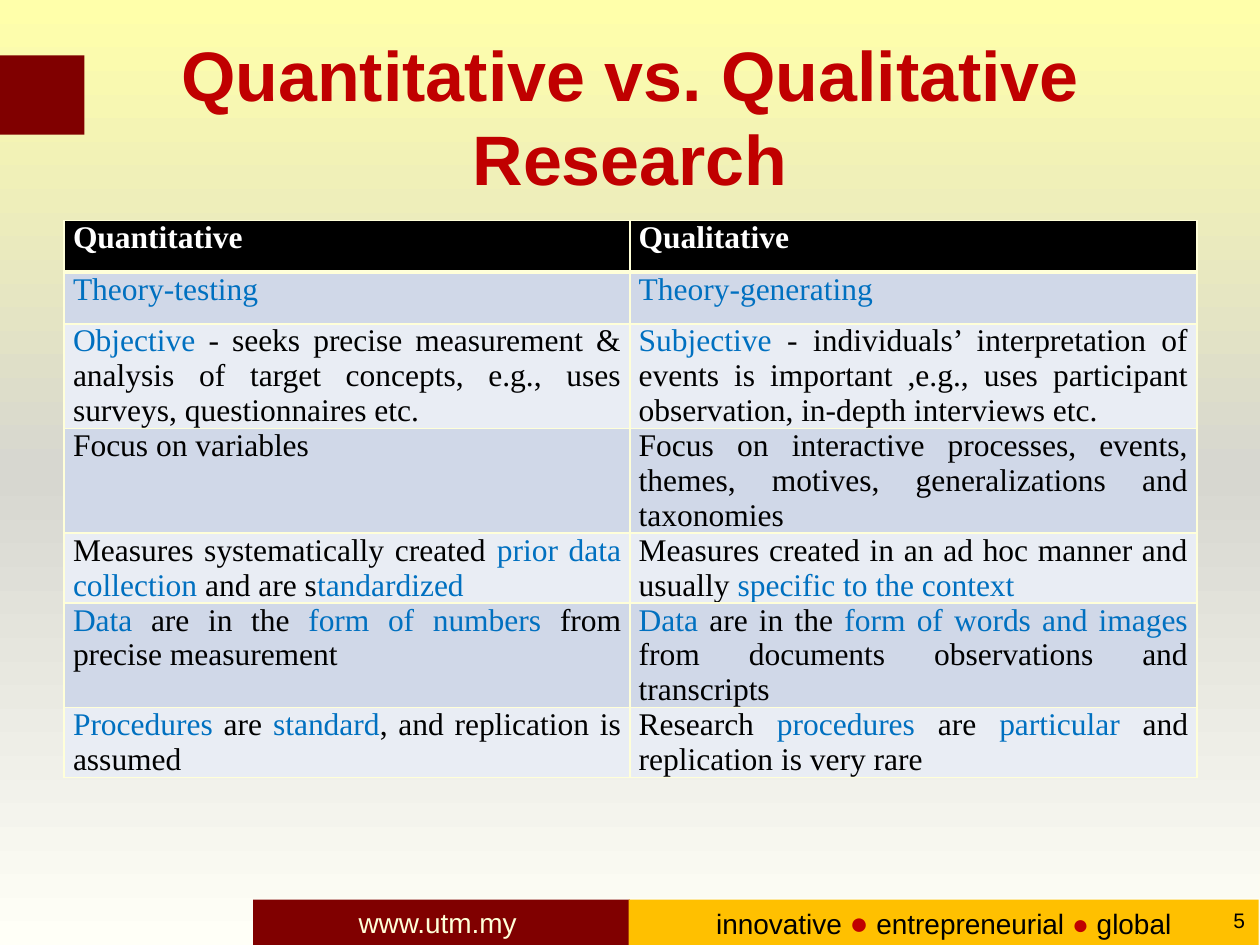
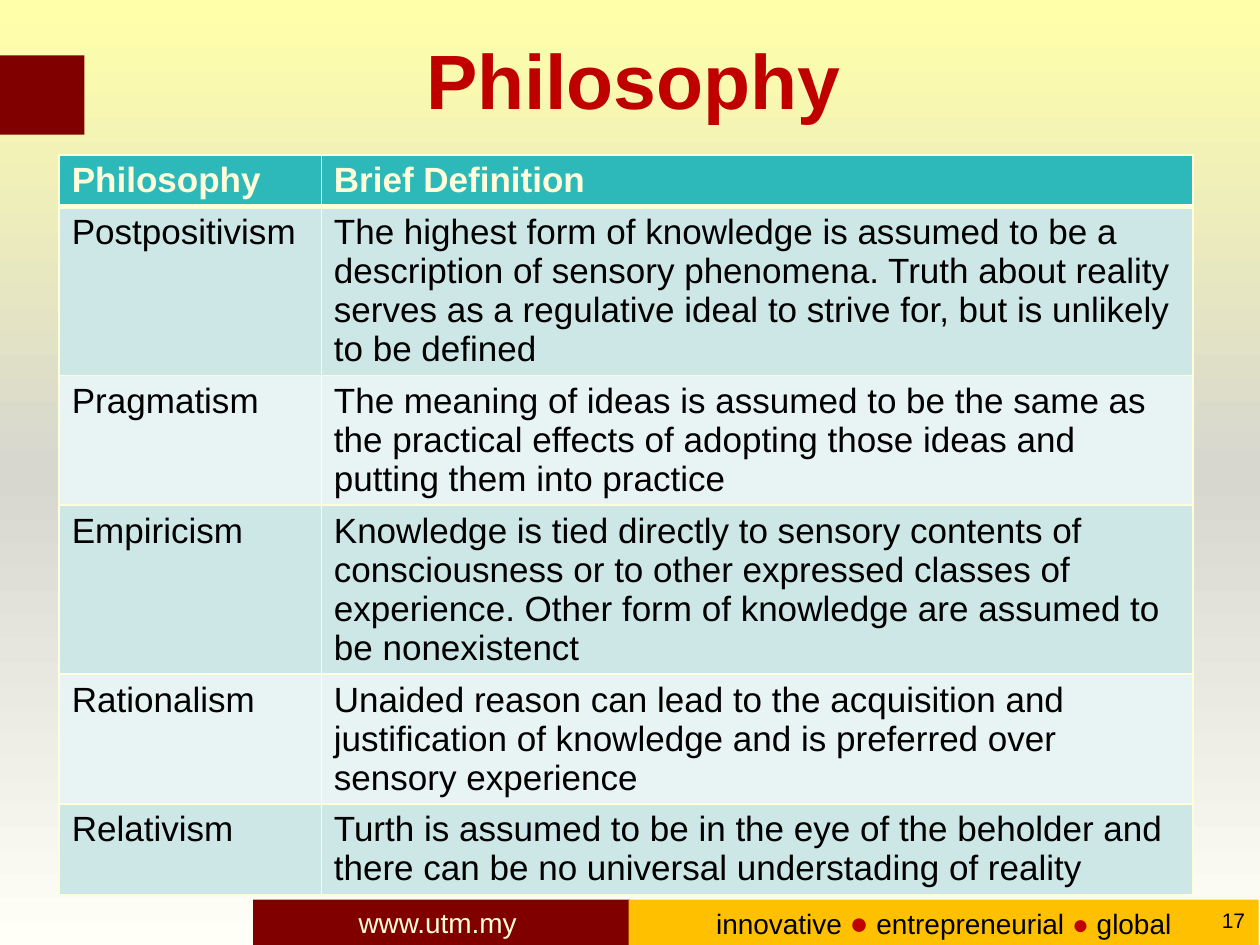
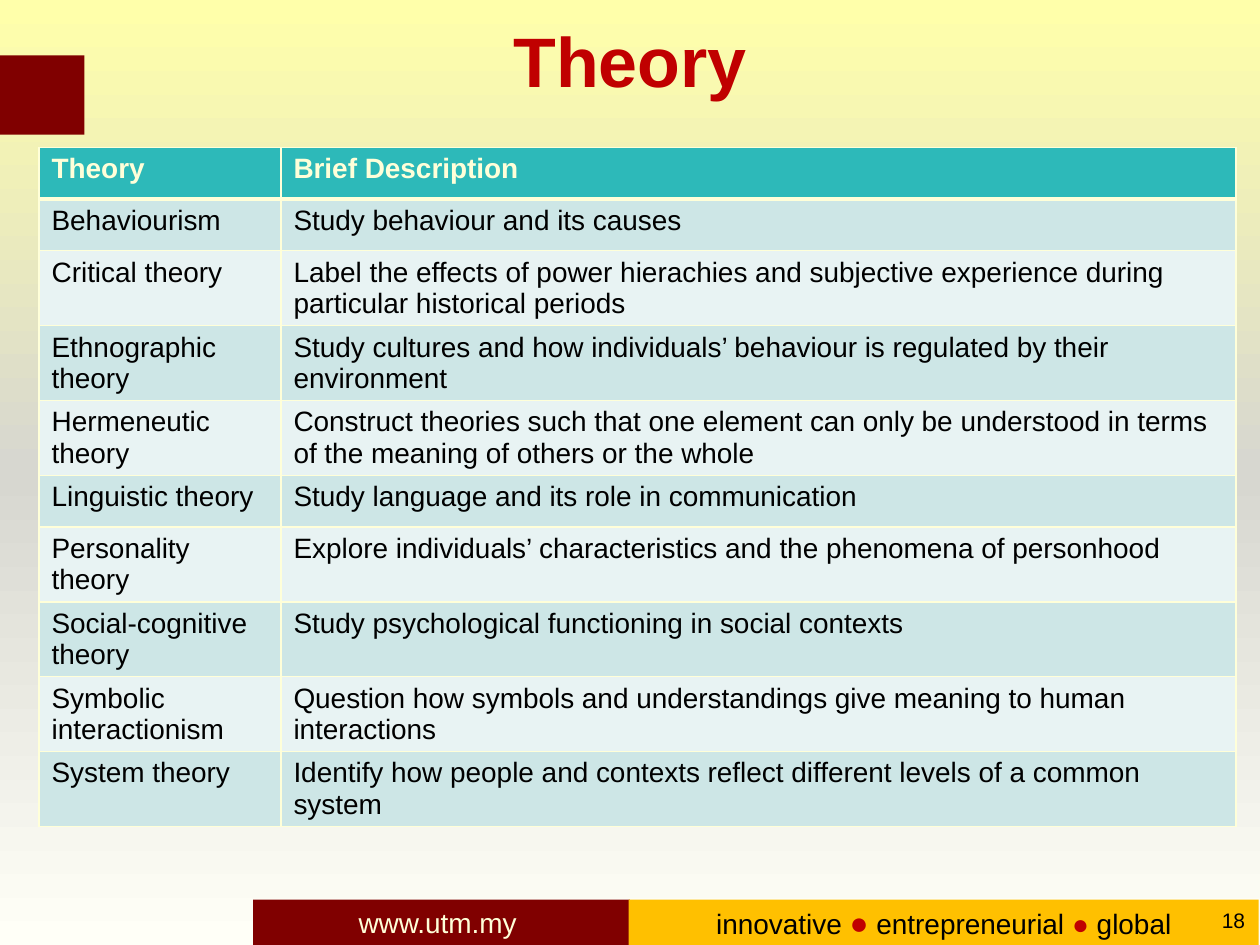
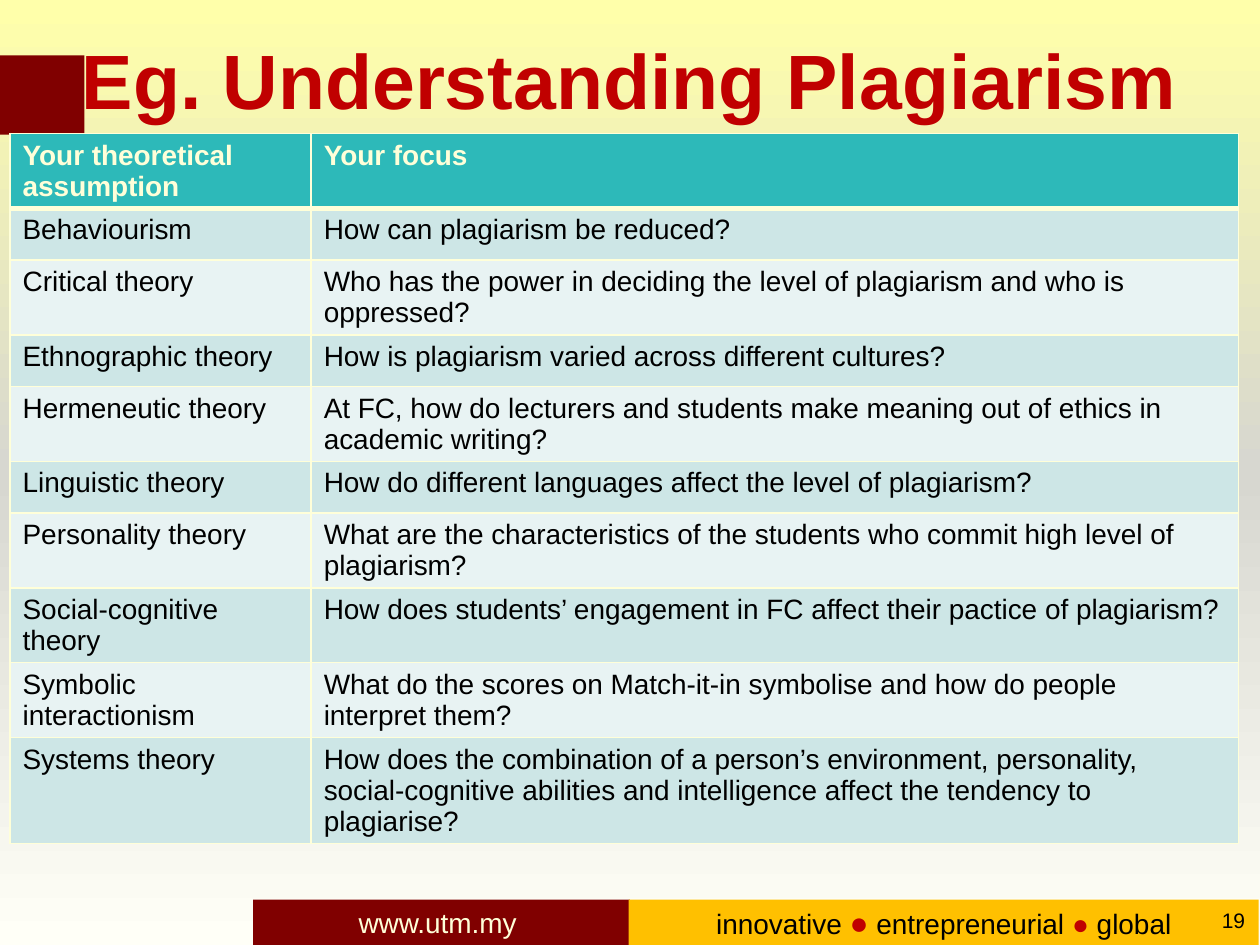
from lxml.etree import SubElement
from copy import deepcopy
from pptx import Presentation
from pptx.dml.color import RGBColor
from pptx.enum.shapes import MSO_SHAPE
from pptx.enum.text import MSO_ANCHOR, PP_ALIGN
from pptx.oxml.ns import qn
from pptx.util import Inches, Pt

# Shared look
MAROON = RGBColor(0x80, 0x00, 0x00)
AMBER = RGBColor(0xFF, 0xC0, 0x00)
RED = RGBColor(0xC0, 0x00, 0x00)
CREAM = RGBColor(0xFF, 0xFF, 0xD9)
BLACK = RGBColor(0x00, 0x00, 0x00)
WHITE = RGBColor(0xFF, 0xFF, 0xFF)
BLUE = RGBColor(0x00, 0x70, 0xC0)
TEAL = RGBColor(0x2D, 0xB9, 0xB9)
TEAL_BANDS = (RGBColor(0xCD, 0xE6, 0xE6), RGBColor(0xE8, 0xF3, 0xF3))
BLUE_BANDS = (RGBColor(0xD0, 0xD8, 0xE8), RGBColor(0xE9, 0xED, 0xF4))
BACKDROP = (
    (0, RGBColor(0xFF, 0xFF, 0xAA)),
    (0.5, RGBColor(0xD7, 0xD7, 0xD0)),
    (1, RGBColor(0xFF, 0xFF, 0xF7)),
)
ROW_HEIGHT = 0.41

# Table styles
TEAL_STYLE = {
    "font": "Arial", "header_fill": TEAL, "header_text": CREAM,
    "bands": TEAL_BANDS, "align": PP_ALIGN.LEFT, "insets": (0.1, 0.05),
}
BLUE_STYLE = {
    "font": "Times New Roman", "header_fill": BLACK, "header_text": WHITE,
    "bands": BLUE_BANDS, "align": PP_ALIGN.JUSTIFY, "insets": (0.07, 0),
}

# Slide contents; words between asterisks are highlighted in blue
SLIDES = [
    {
        "number": 5, "title": "Quantitative vs. Qualitative Research",
        "title_size": 40, "title_at": (0.75, 0.29, 8.5, 1.25),
        "table_at": (0.51, 1.75), "columns": (4.49, 4.5),
        "style": BLUE_STYLE, "text_size": 18,
        "rows": [
            ("Quantitative", "Qualitative"),
            ("*Theory-testing*", "*Theory-generating*"),
            ("*Objective* - seeks precise measurement & analysis of target "
             "concepts, e.g., uses surveys, questionnaires etc.",
             "*Subjective *- individuals’ interpretation of events is important "
             ",e.g., uses participant observation, in-depth interviews etc."),
            ("Focus on variables",
             "Focus on interactive processes, events, themes, motives, "
             "generalizations and taxonomies"),
            ("Measures systematically created *prior data collection* and are "
             "s*tandardized*",
             "Measures created in an ad hoc manner and usually "
             "*specific to the context*"),
            ("*Data* are in the *form of numbers *from precise measurement",
             "*Data* are in the *form of words and images *from documents "
             "observations and transcripts"),
            ("*Procedures* are *standard*, and replication is assumed",
             "Research *procedures* are *particular* and replication is very rare"),
        ],
    },
    {
        "number": 17, "title": "Philosophy",
        "title_size": 44, "title_at": (0.78, 0, 8.5, 1.25),
        "table_at": (0.47, 1.23), "columns": (2.08, 6.92),
        "style": TEAL_STYLE, "text_size": 20,
        "rows": [
            ("Philosophy", "Brief Definition"),
            ("Postpositivism",
             "The highest form of knowledge is assumed to be a description of "
             "sensory phenomena. Truth about reality serves as a regulative "
             "ideal to strive for, but is unlikely to be defined"),
            ("Pragmatism",
             "The meaning of ideas is assumed to be the same as the practical "
             "effects of adopting those ideas and putting them into practice"),
            ("Empiricism",
             "Knowledge is tied directly to sensory contents of consciousness "
             "or to other expressed classes of experience. Other form of "
             "knowledge are assumed to be nonexistenct"),
            ("Rationalism",
             "Unaided reason can lead to the acquisition and justification of "
             "knowledge and is preferred over sensory experience"),
            ("Relativism",
             "Turth is assumed to be in the eye of the beholder and there can "
             "be no universal understading of reality"),
        ],
    },
    {
        "number": 18, "title": "Theory",
        "title_size": 40, "title_at": (0.5, 0, 9, 0.94),
        "table_at": (0.31, 1.17), "columns": (1.92, 7.58),
        "style": TEAL_STYLE, "text_size": 16,
        "rows": [
            ("Theory", "Brief Description"),
            ("Behaviourism", "Study behaviour and its causes"),
            ("Critical theory",
             "Label the effects of power hierachies and subjective experience "
             "during particular historical periods"),
            ("Ethnographic theory",
             "Study cultures and how individuals’ behaviour is regulated by "
             "their environment"),
            ("Hermeneutic theory",
             "Construct theories such that one element can only be understood "
             "in terms of the meaning of others or the whole"),
            ("Linguistic theory", "Study language and its role in communication"),
            ("Personality theory",
             "Explore individuals’ characteristics and the phenomena of personhood"),
            ("Social-cognitive theory",
             "Study psychological functioning in social contexts"),
            ("Symbolic interactionism",
             "Question how symbols and understandings give meaning to human "
             "interactions"),
            ("System theory",
             "Identify how people and contexts reflect different levels of a "
             "common system"),
        ],
    },
    {
        "number": 19, "title": "Eg. Understanding Plagiarism",
        "title_size": 44, "title_at": (0.5, 0, 9, 1.25),
        "table_at": (0.08, 1.06), "columns": (2.39, 7.36),
        "style": TEAL_STYLE, "text_size": 16,
        "rows": [
            ("Your theoretical assumption", "Your focus"),
            ("Behaviourism", "How can plagiarism be reduced?"),
            ("Critical theory",
             "Who has the power in deciding the level of plagiarism and who is "
             "oppressed?"),
            ("Ethnographic theory",
             "How is plagiarism varied across different cultures?"),
            ("Hermeneutic theory",
             "At FC, how do lecturers and students make meaning out of ethics "
             "in academic writing?"),
            ("Linguistic theory",
             "How do different languages affect the level of plagiarism?"),
            ("Personality theory",
             "What are the characteristics of the students who commit high "
             "level of plagiarism?"),
            ("Social-cognitive theory",
             "How does students’ engagement in FC affect their pactice of "
             "plagiarism?"),
            ("Symbolic interactionism",
             "What do the scores on Match-it-in symbolise and how do people "
             "interpret them?"),
            ("Systems theory",
             "How does the combination of a person’s environment, personality, "
             "social-cognitive abilities and intelligence affect the tendency "
             "to plagiarise?"),
        ],
    },
]

# Bands on every slide: place, fill, and spans of (text, size, colour)
BANDS = [
    ((2.01, 7.14, 2.99, 0.36), MAROON, [("www.utm.my ", 16, CREAM)]),
    ((4.99, 7.14, 5, 0.36), AMBER, [
        ("innovative ", 16, BLACK), ("●", 18, RED),
        (" entrepreneurial ", 16, BLACK), ("● ", 16, RED), ("global", 16, BLACK),
    ]),
    ((0, 0.44, 0.67, 0.63), MAROON, []),
]


def add_span(paragraph, text, size, color, font="Arial", bold=False):
    span = paragraph.add_run()
    span.text = text
    span.font.name = font
    span.font.size = Pt(size)
    span.font.bold = bold
    span.font.color.rgb = color


def set_borders(cell, top, bottom):
    properties = cell._tc.get_or_add_tcPr()
    for side, width in (("L", 1), ("R", 1), ("T", top), ("B", bottom)):
        line = SubElement(properties, qn("a:ln" + side), w=str(Pt(width)))
        fill = SubElement(line, qn("a:solidFill"))
        SubElement(fill, qn("a:srgbClr"), val=str(CREAM))


deck = Presentation()
deck.slide_width, deck.slide_height = Inches(10), Inches(7.5)

# Background gradient, running from top to bottom
backdrop = deck.slide_master.background.fill
backdrop.gradient()
backdrop.gradient_angle = 270
stop_list = deck.slide_master.element.xpath("./p:cSld/p:bg//a:gsLst")[0]
stop_list.append(deepcopy(stop_list[-1]))
for stop, (position, color) in zip(backdrop.gradient_stops, BACKDROP):
    stop.position = position
    stop.color.rgb = color

for content in SLIDES:
    page = deck.slides.add_slide(deck.slide_layouts[5])

    # Bands
    for place, color, spans in BANDS:
        band = page.shapes.add_shape(MSO_SHAPE.RECTANGLE, *map(Inches, place))
        band.shadow.inherit = False
        band.fill.solid()
        band.fill.fore_color.rgb = color
        band.line.fill.background()
        band.text_frame.vertical_anchor = MSO_ANCHOR.MIDDLE
        paragraph = band.text_frame.paragraphs[0]
        paragraph.alignment = PP_ALIGN.CENTER
        for text, size, text_color in spans:
            add_span(paragraph, text, size, text_color)

    # Slide number
    number_box = page.shapes.add_textbox(*map(Inches, (9.33, 7.1, 0.65, 0.4)))
    number_box.text_frame.word_wrap = True
    number_box.text_frame.vertical_anchor = MSO_ANCHOR.MIDDLE
    paragraph = number_box.text_frame.paragraphs[0]
    paragraph.alignment = PP_ALIGN.RIGHT
    add_span(paragraph, str(content["number"]), 12, BLACK)

    # Title, in front of the bands
    title = page.shapes.title
    title.left, title.top, title.width, title.height = map(Inches, content["title_at"])
    title.text_frame.word_wrap = True
    title.text_frame.vertical_anchor = MSO_ANCHOR.MIDDLE
    paragraph = title.text_frame.paragraphs[0]
    paragraph.alignment = PP_ALIGN.CENTER
    add_span(paragraph, content["title"], content["title_size"], RED, bold=True)
    page.shapes.element.append(title.element)

    # Table
    rows, columns, style = content["rows"], content["columns"], content["style"]
    table = page.shapes.add_table(
        len(rows), len(columns), *map(Inches, content["table_at"]),
        Inches(sum(columns)), Inches(ROW_HEIGHT * len(rows))).table
    table.horz_banding = False
    for column, width in zip(table.columns, columns):
        column.width = Inches(width)
    side_inset, end_inset = map(Inches, style["insets"])
    for row_index, texts in enumerate(rows):
        is_header = row_index == 0
        text_color = style["header_text"] if is_header else BLACK
        fill_color = style["header_fill"] if is_header else style["bands"][(row_index - 1) % 2]
        for column_index, text in enumerate(texts):
            cell = table.cell(row_index, column_index)
            cell.margin_left = cell.margin_right = side_inset
            cell.margin_top = cell.margin_bottom = end_inset
            set_borders(cell, 3 if row_index == 1 else 1, 3 if is_header else 1)
            cell.fill.solid()
            cell.fill.fore_color.rgb = fill_color
            paragraph = cell.text_frame.paragraphs[0]
            paragraph.alignment = style["align"]
            for part_index, part in enumerate(text.split("*")):
                if part:
                    add_span(paragraph, part, content["text_size"],
                             BLUE if part_index % 2 else text_color,
                             style["font"], is_header)

deck.save("out.pptx")
